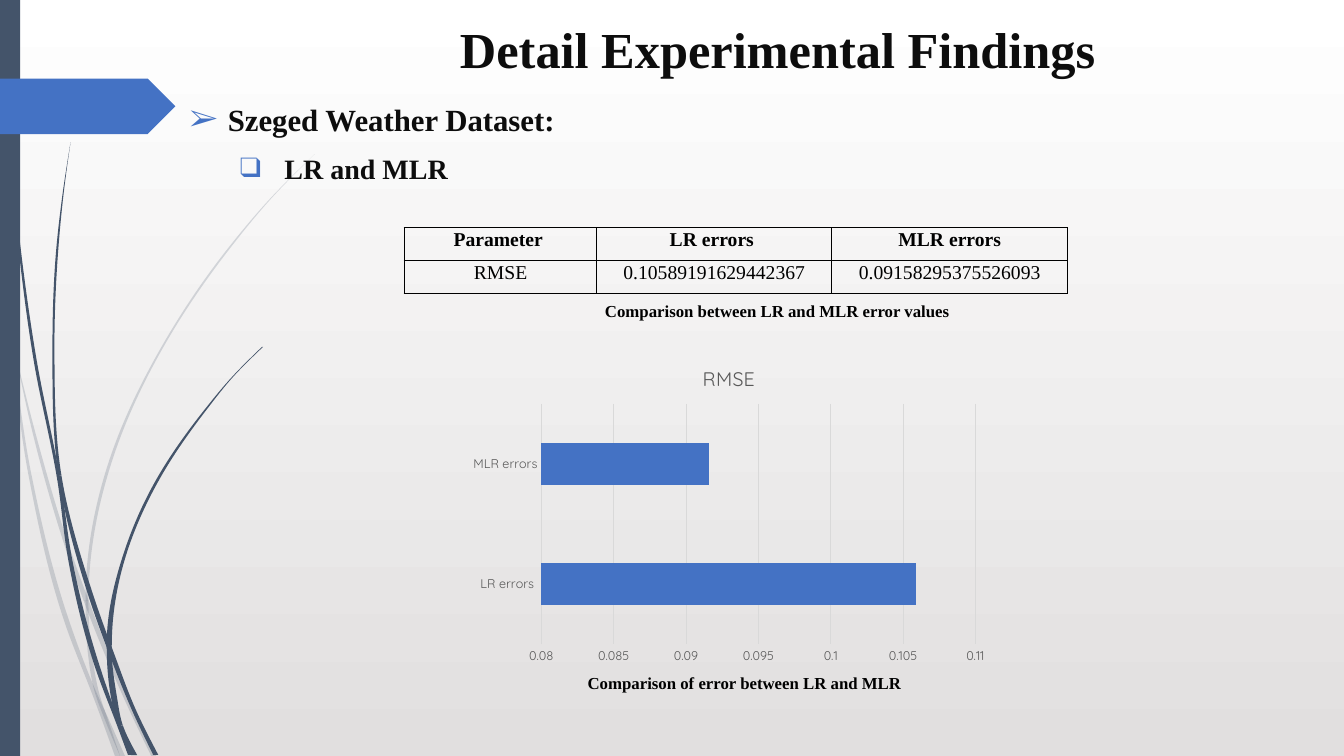
from lxml import etree
from pptx import Presentation
from pptx import util as u
from pptx.chart.data import CategoryChartData
from pptx.dml.color import RGBColor
from pptx.enum import chart as ch, shapes, text
from pptx.oxml import ns, parse_xml

HUES = {"slate": "44546A", "blue": "4472C4", "ink": "0D0D0D", "black": "000000",
        "gray": "595959", "rule": "D9D9D9", "top": "FFFFFF", "base": "E1DFDF"}
SERIF, SANS = "Times New Roman", "Quicksand"
MID = text.PP_ALIGN.CENTER

# Each stalk: heights where it is jointed, then (left edge, height, breadth)
PALE = [
    ((3.47, 7.14), [(-.02, 2.82, .03), (.1, 3.47, .02), (.28, 4.7, .03),
                    (.65, 6.2, .05), (.92, 6.9, .05), (1.01, 7.14, .07),
                    (1.14, 7.5, .1)]),
    ((5.96,), [(.14, 3.45, 0), (.35, 4.4, .03), (.58, 5.22, .04),
               (.83, 5.96, .05), (1.23, 6.93, .04), (1.5, 7.5, .05)]),
    ((5.84, 6.1, 6.9, 7.14), [
        (3.12, 1.53, 0), (2.68, 1.97, .01), (2.28, 2.44, .02), (1.58, 3.48, .02),
        (1.07, 4.61, .03), (.85, 5.84, .03), (.85, 6.1, .03), (.87, 6.46, .04),
        (.95, 6.9, .04), (1.04, 7.14, .03), (1.19, 7.5, 0)]),
]
DARK = [
    ((4.77, 7.22), [(.03, 0, .01), (.07, 1.1, .01), (.17, 2.33, .02),
                    (.33, 3.55, .03), (.57, 4.77, .03), (.68, 5.57, .04),
                    (.93, 6.58, .05), (1.17, 7.22, .04), (1.27, 7.49, .06)]),
    ((4.72, 6.48), [(.7, 1.41, 0), (.62, 1.93, .01), (.56, 2.45, .02),
                    (.52, 3.49, .02), (.58, 4.72, .03), (.88, 5.92, .05),
                    (1.08, 6.48, .05), (1.32, 7.07, .04), (1.52, 7.49, .05)]),
    ((6.32, 6.5, 7.2), [
        (2.6, 3.44, .01), (2.31, 3.73, .01), (2.04, 4.05, .02), (1.56, 4.74, .03),
        (1.22, 5.51, .03), (1.06, 6.32, .05), (1.06, 6.5, .05), (1.1, 6.91, .06),
        (1.17, 7.2, .05), (1.3, 7.49, .06)]),
]


def rgb(hue):
    return RGBColor.from_string(HUES[hue])


def place(shape, box):
    shape.left, shape.top, shape.width, shape.height = map(u.Inches, box)


def style(font, size, hue, face=SERIF, bold=False):
    font.size, font.name, font.bold = u.Pt(size), face, bold
    font.color.rgb = rgb(hue)


def write(para, words, size=12, hue="black", bold=True, align=MID, **gaps):
    """Fill a paragraph; gaps are paragraph spacings such as space_before."""
    run = para.add_run()
    run.text = words
    style(run.font, size, hue, bold=bold)
    para.alignment = align
    for name, value in gaps.items():
        setattr(para, name, value)


def paint(shape, hue):
    shape.shadow.inherit = False
    shape.fill.solid()
    shape.fill.fore_color.rgb = rgb(hue)
    shape.line.fill.background()


def lean(edge):
    """Add to each (x, y) of an edge its slope dx/dy."""
    gaps = [b[1] - a[1] for a, b in zip(edge, edge[1:])]
    rise = [(b[0] - a[0]) / g for a, b, g in zip(edge, edge[1:], gaps)]
    mid = [(d * h + e * g) / (g + h)
           for d, e, g, h in zip(rise, rise[1:], gaps, gaps[1:])]
    ends = [1.5 * rise[0] - mid[0] / 2, 1.5 * rise[-1] - mid[-1] / 2]
    return [(x, y, s) for (x, y), s in zip(edge, ends[:1] + mid + ends[1:])]


def leaf(slide, ring, alpha):
    """Draw one closed outline with curved sides."""
    spots = [(u.Inches(x), u.Inches(y)) for x, y, _ in ring]
    pen = slide.shapes.build_freeform(*spots[0])
    pen.add_line_segments(spots[1:], close=True)
    shape = pen.convert_to_shape()
    paint(shape, "slate")
    sides = list(shape._element.iter(ns.qn("a:lnTo")))
    for side, (ax, ay, lead), (bx, by, tail) in zip(sides, ring, ring[1:]):
        third = (by - ay) / 3
        curve = etree.Element(ns.qn("a:cubicBezTo"))
        for x, y in ((ax + lead * third, ay + third),
                     (bx - tail * third, by - third), (bx, by)):
            etree.SubElement(curve, ns.qn("a:pt"), x=str(u.Inches(x) - shape.left),
                             y=str(u.Inches(y) - shape.top))
        side.getparent().replace(side, curve)
    if alpha:
        color = shape.fill._xPr.find(".//" + ns.qn("a:srgbClr"))
        etree.SubElement(color, ns.qn("a:alpha"), val=str(alpha * 1000))


def stalk(slide, joints, nodes, box, alpha=None):
    left, top = box[:2]
    near = lean([(left + x, top + y) for x, y, _ in nodes])
    far = lean([(left + x + w, top + y) for x, y, w in nodes])
    cuts = [i for i, node in enumerate(nodes) if node[1] in joints]
    for a, b in zip([0] + cuts, cuts + [len(nodes) - 1]):
        leaf(slide, near[a:b + 1] + far[a:b + 1][::-1], alpha)


def scene(slide, box):
    left, top, _, high = box
    # Background
    fill = slide.background.fill
    fill.gradient()
    fill.gradient_angle = 270
    for stop, hue, spot in zip(fill.gradient_stops, ("top", "base"), (0, 1)):
        stop.color.rgb, stop.position = rgb(hue), spot
    # Stalks
    for group, alpha in ((PALE, 20), (DARK, None)):
        for joints, nodes in group:
            stalk(slide, joints, nodes, box, alpha)
    # Side bar and tag
    for kind, spot, hue in (
            (shapes.MSO_SHAPE.RECTANGLE, (left, top, .2, high), "slate"),
            (shapes.MSO_SHAPE.PENTAGON, (left, top + .78, 1.74, .55), "blue")):
        part = slide.shapes.add_shape(kind, *map(u.Inches, spot))
        paint(part, hue)


def bullet(para, mark, margin, hang):
    props = para._p.get_or_add_pPr()
    props.set("marL", str(u.Inches(margin)))
    props.set("indent", str(-u.Inches(hang)))
    color = etree.SubElement(props, ns.qn("a:buClr"))
    etree.SubElement(color, ns.qn("a:srgbClr"), val=HUES["blue"])
    etree.SubElement(props, ns.qn("a:buFont"), typeface=SERIF)
    etree.SubElement(props, ns.qn("a:buChar"), char=mark)


def head(slide, box):
    title = slide.shapes.title
    place(title, box)
    write(title.text_frame.paragraphs[0], "Detail Experimental Findings", 36, "ink")
    title._element.getparent().append(title._element)


def points(slide, box):
    body = slide.placeholders[1]
    place(body, box)
    frame = body.text_frame
    frame.auto_size = text.MSO_AUTO_SIZE.NONE
    rows = (("Szeged Weather Dataset:", 22, "➢", .38, .38),
            ("LR and MLR", 20, "❑", .94, .44))
    for level, (words, size, mark, margin, hang) in enumerate(rows):
        para = frame.add_paragraph() if level else frame.paragraphs[0]
        para.level = level
        write(para, words, size, "ink", align=text.PP_ALIGN.JUSTIFY,
              space_before=u.Pt(10))
        bullet(para, mark, margin, hang)
    body._element.getparent().append(body._element)


def border(cell):
    props = cell._tc.get_or_add_tcPr()
    for spot, side in enumerate("LRTB"):
        props.insert(spot, parse_xml(
            f'<a:ln{side} {ns.nsdecls("a")} w="12700"><a:solidFill>'
            f'<a:srgbClr val="{HUES["black"]}"/></a:solidFill></a:ln{side}>'))


def errors(slide, box):
    data = (("Parameter ", "LR errors ", "MLR errors"),
            ("RMSE", "0.10589191629442367", "0.09158295375526093"))
    grid = slide.shapes.add_table(2, 3, *map(u.Inches, box)).table
    grid.first_row = grid.horz_banding = False
    for col, wide in zip(grid.columns, (1.91, 2.33, 2.34)):
        col.width = u.Inches(wide)
    for r, row in enumerate(data):
        grid.rows[r].height = u.Inches(box[3] / 2)
        for c, words in enumerate(row):
            cell = grid.cell(r, c)
            cell.fill.background()
            border(cell)
            cell.margin_left = cell.margin_right = u.Inches(.07)
            cell.margin_top = cell.margin_bottom = 0
            write(cell.text_frame.paragraphs[0], words, 14, bold=r == 0,
                  line_spacing=1.07)


def label(slide, box, words):
    frame = slide.shapes.add_textbox(*map(u.Inches, box)).text_frame
    frame.word_wrap = True
    write(frame.paragraphs[0], words)


def bars(slide, box):
    data = CategoryChartData()
    data.categories = ["LR errors ", "MLR errors"]
    data.add_series("RMSE", (.1059, .0916))
    chart = slide.shapes.add_chart(ch.XL_CHART_TYPE.BAR_CLUSTERED,
                                   *map(u.Inches, box), data).chart
    style(chart.font, 10, "black", SANS)
    chart.has_legend = False
    chart.has_title = True
    title = chart.chart_title.text_frame
    title.text = "RMSE"
    style(title.paragraphs[0].runs[0].font, 14, "gray", SANS)
    # Bars
    plot = chart.plots[0]
    plot.gap_width, plot.vary_by_categories = 182, False
    paint_bar = plot.series[0].format.fill
    paint_bar.solid()
    paint_bar.fore_color.rgb = rgb("blue")
    # Axes
    names, scale = chart.category_axis, chart.value_axis
    for axis in (names, scale):
        axis.major_tick_mark = axis.minor_tick_mark = ch.XL_TICK_MARK.NONE
        style(axis.tick_labels.font, 9, "gray", SANS)
    scale.minimum_scale, scale.maximum_scale, scale.major_unit = .08, .11, .005
    scale.format.line.fill.background()
    for line in (names.format.line, scale.major_gridlines.format.line):
        line.color.rgb, line.width = rgb("rule"), u.Pt(.75)


deck = Presentation()
deck.slide_width, deck.slide_height = u.Inches(13.33), u.Inches(7.5)
page = deck.slides.add_slide(deck.slide_layouts[1])
scene(page, (0, 0, 13.33, 7.5))
head(page, (2.84, .07, 9.75, .82))
points(page, (1.78, .95, 11.55, 6.55))
errors(page, (4.01, 2.26, 6.58, .65))
label(page, (5.47, 2.93, 4.48, .3), "Comparison between LR and MLR error values")
bars(page, (4.59, 3.46, 5.28, 3.19))
label(page, (5.59, 6.62, 3.59, .3), "Comparison of error between LR and MLR")
deck.save("out.pptx")
